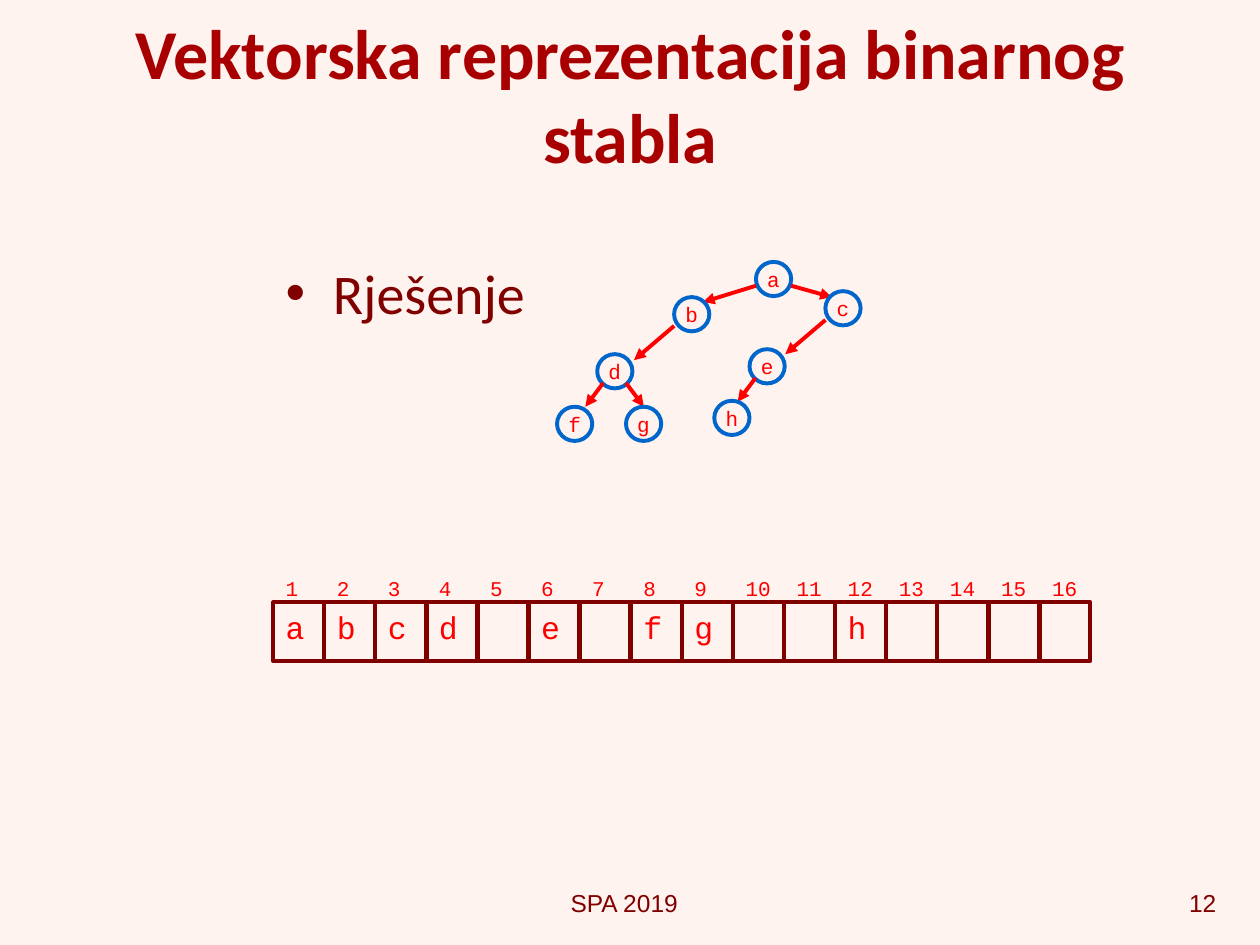
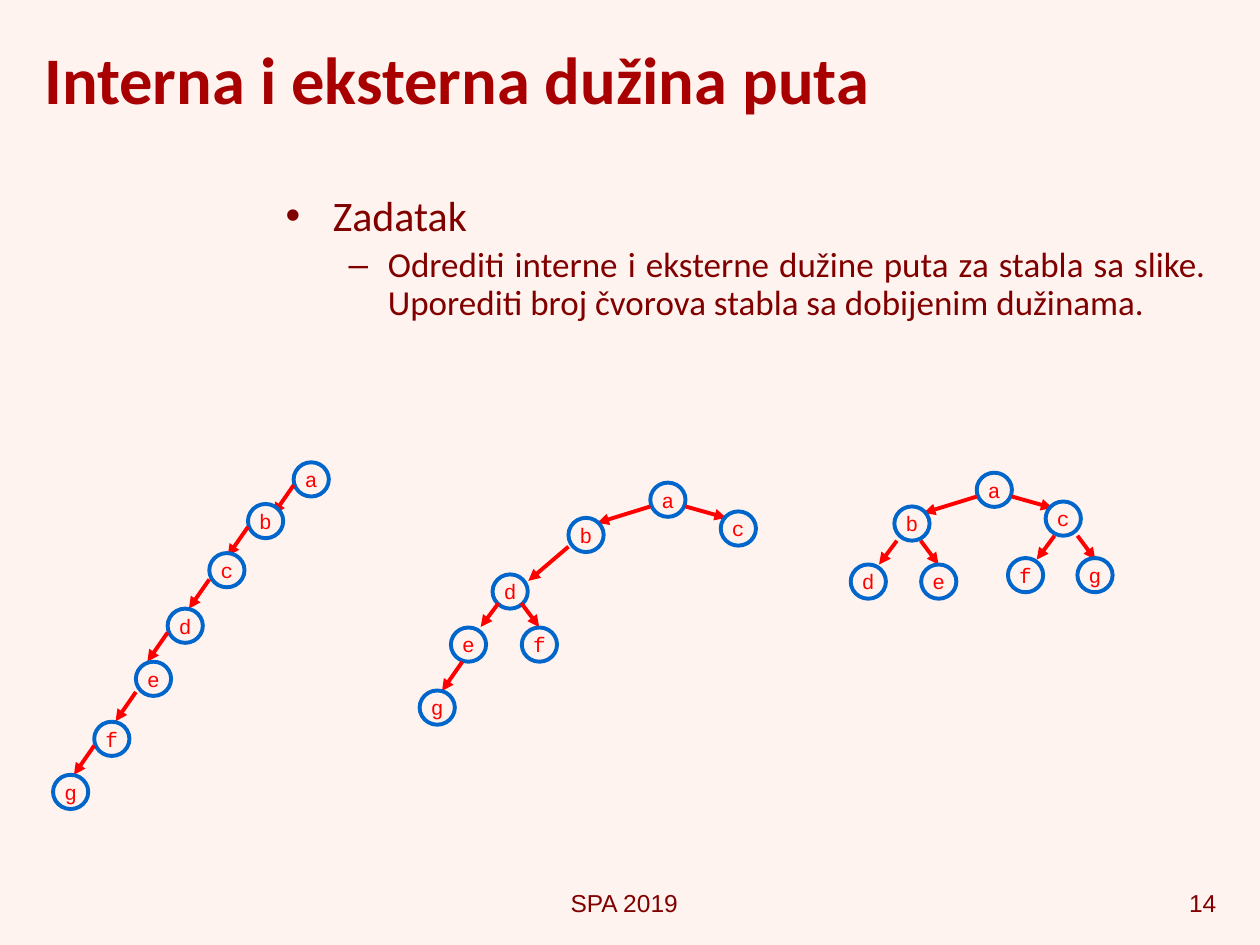
from dataclasses import dataclass
from lxml.etree import SubElement
from pptx import Presentation
from pptx.dml.color import RGBColor
from pptx.enum.shapes import MSO_CONNECTOR, MSO_SHAPE
from pptx.enum.text import MSO_ANCHOR, MSO_AUTO_SIZE, PP_ALIGN
from pptx.oxml.ns import qn
from pptx.util import Cm, Pt


@dataclass(frozen=True)
class Theme:
    background: RGBColor = RGBColor(0xFF, 0xF3, 0xEF)
    title: RGBColor = RGBColor(0xA8, 0x00, 0x00)
    text: RGBColor = RGBColor(0x80, 0x00, 0x00)
    accent: RGBColor = RGBColor(0xFF, 0x00, 0x00)
    node_line: RGBColor = RGBColor(0x00, 0x66, 0xCC)
    text_font: str = "Calibri"
    code_font: str = "Courier New"
    footer_font: str = "Arial"
    footer_size: int = 14
    label_size: int = 12
    cell_size: int = 18
    line_width: float = 2.25


THEME = Theme()
LABEL_FORMAT = {"name": THEME.code_font, "size": Pt(THEME.label_size)}
CELL_FORMAT = {"name": THEME.code_font, "size": Pt(THEME.cell_size)}
FOOTER_FORMAT = {"name": THEME.footer_font, "size": Pt(THEME.footer_size)}

# Bullet levels: character, left margin and hanging indent in cm
BULLETS = (("•", 0.95, 0.95), ("–", 2.06, 0.79))

# Tree geometry in cm: node size and the arrows' run and drop
NODE_WIDTH, NODE_HEIGHT = 0.71, 0.69
WIDE_LEFT, WIDE_RIGHT = (-1.07, 0.33), (0.82, 0.23)
STEEP_LEFT, STEEP_RIGHT = (-0.36, 0.48), (0.36, 0.48)
LONG_LEFT, CHAIN = (-0.81, 0.69), (-0.41, 0.59)

# Arrows leaving a node: start offset from its corner, then the arrow
ROOT = [(0, 0.48, WIDE_LEFT), (NODE_WIDTH, 0.48, WIDE_RIGHT)]
LONG = [(0, 0.58, LONG_LEFT)]
FORK = [(0.12, 0.58, STEEP_LEFT), (0.58, 0.58, STEEP_RIGHT)]

# Each tree: label -> left, top, arrows
SOLUTION_TREE = {
    "a": (15.24, 5.28, ROOT),
    "b": (13.59, 5.99, LONG),
    "d": (12.04, 7.14, FORK),
    "f": (11.23, 8.2, []),
    "g": (12.62, 8.2, []),
    "c": (16.64, 5.87, LONG),
    "e": (15.11, 7.04, FORK[:1]),
    "h": (14.4, 8.08, []),
}
CHAIN_TREE = {
    "a": (5.92, 9.32, [(0, 0.46, CHAIN)]),
    "b": (5, 10.16, [(0, 0.46, CHAIN)]),
    "c": (4.22, 11.15, [(0, 0.53, CHAIN)]),
    "d": (3.38, 12.27, [(0, 0.48, CHAIN)]),
    "e": (2.74, 13.34, [(0, 0.61, CHAIN)]),
    "f": (1.9, 14.55, [(0, 0.48, CHAIN)]),
    "g": (1.07, 15.62, []),
}
UNEVEN_TREE = {
    "a": (13.11, 9.73, ROOT),
    "b": (11.46, 10.44, LONG),
    "d": (9.93, 11.58, FORK),
    "e": (9.09, 12.65, [(0.23, 0.69, CHAIN)]),
    "f": (10.52, 12.65, []),
    "c": (14.53, 10.31, []),
    "g": (8.46, 13.92, []),
}
FULL_TREE = {
    "a": (19.69, 9.53, ROOT),
    "b": (18.03, 10.21, [(0.05, 0.69, STEEP_LEFT), (0.53, 0.69, STEEP_RIGHT)]),
    "d": (17.15, 11.38, []),
    "e": (18.57, 11.38, []),
    "c": (21.08, 10.11, [(0.18, 0.69, STEEP_LEFT), (0.64, 0.69, STEEP_RIGHT)]),
    "f": (20.32, 11.25, []),
    "g": (21.72, 11.25, []),
}

# Vector representation of the solution tree
VECTOR = ["a", "b", "c", "d", "", "e", "", "f", "g", "", "", "h", "", "", "", ""]
VECTOR_LEFT, CELL_PITCH = 5.51, 1.03
CELL_TOP, CELL_WIDTH, CELL_HEIGHT = 12.14, 1.02, 1.19
INDEX_TOP, INDEX_HEIGHT = 11.48, 0.76


def box(left, top, width, height):
    return Cm(left), Cm(top), Cm(width), Cm(height)


def write(paragraph, text, color, values, alignment=PP_ALIGN.LEFT):
    paragraph.alignment = alignment
    run = paragraph.add_run()
    run.text = text
    for name, value in values.items():
        setattr(run.font, name, value)
    run.font.color.rgb = color


def add_text(slide, area, text, color, values, alignment=PP_ALIGN.LEFT, wrap=True):
    frame = slide.shapes.add_textbox(*box(*area)).text_frame
    frame.word_wrap = wrap
    write(frame.paragraphs[0], text, color, values, alignment)


def add_outlined_shape(shapes, kind, area, line_color, fill_color=None):
    shape = shapes.add_shape(kind, *box(*area))
    shape.shadow.inherit = False
    if fill_color is None:
        shape.fill.background()
    else:
        shape.fill.solid()
        shape.fill.fore_color.rgb = fill_color
    shape.line.color.rgb = line_color
    shape.line.width = Pt(THEME.line_width)
    shape.text_frame.word_wrap = False
    return shape


def add_node(shapes, label, left, top):
    area = (left, top, NODE_WIDTH, NODE_HEIGHT)
    shape = add_outlined_shape(shapes, MSO_SHAPE.OVAL, area, THEME.node_line, THEME.background)
    frame = shape.text_frame
    frame.vertical_anchor = MSO_ANCHOR.MIDDLE
    write(frame.paragraphs[0], label, THEME.accent, LABEL_FORMAT, PP_ALIGN.CENTER)


def add_arrow(shapes, left, top, run, drop):
    arrow = shapes.add_connector(
        MSO_CONNECTOR.STRAIGHT, Cm(left), Cm(top), Cm(left + run), Cm(top + drop))
    arrow.line.color.rgb = THEME.accent
    arrow.line.width = Pt(THEME.line_width)
    SubElement(arrow.line._get_or_add_ln(), qn("a:tailEnd"), type="triangle")
    SubElement(arrow._element.spPr, qn("a:effectLst"))


def add_tree(slide, tree):
    shapes = slide.shapes.add_group_shape().shapes
    for label, (left, top, arrows) in tree.items():
        add_node(shapes, label, left, top)
        for across, down, stroke in arrows:
            add_arrow(shapes, left + across, top + down, *stroke)


def add_vector(slide):
    for index, value in enumerate(VECTOR):
        left = VECTOR_LEFT + index * CELL_PITCH
        area = (left, CELL_TOP, CELL_WIDTH, CELL_HEIGHT)
        cell = add_outlined_shape(slide.shapes, MSO_SHAPE.RECTANGLE, area, THEME.text)
        cell.text_frame.vertical_anchor = MSO_ANCHOR.TOP
        if value:
            write(cell.text_frame.paragraphs[0], value, THEME.accent, CELL_FORMAT)
    for index in range(len(VECTOR)):
        number = str(index + 1)
        area = (VECTOR_LEFT + index * CELL_PITCH, INDEX_TOP,
                0.5 + 0.26 * len(number), INDEX_HEIGHT)
        add_text(slide, area, number, THEME.accent, LABEL_FORMAT, wrap=False)


def add_bullets(slide, area, items, alignment=PP_ALIGN.LEFT, line_spacing=1.0):
    """Each item is (level, size, text)."""
    frame = slide.shapes.add_textbox(*box(*area)).text_frame
    frame.word_wrap = True
    for position, (level, size, text) in enumerate(items):
        paragraph = frame.add_paragraph() if position else frame.paragraphs[0]
        character, margin, hanging = BULLETS[level]
        properties = paragraph._p.get_or_add_pPr()
        properties.set("marL", str(Cm(margin)))
        properties.set("indent", str(-Cm(hanging)))
        SubElement(properties, qn("a:buFont"), typeface="Arial")
        SubElement(properties, qn("a:buChar"), char=character)
        paragraph.level = level
        paragraph.line_spacing = line_spacing
        if position:
            paragraph.space_before = Pt(size * 0.2)
        values = {"name": THEME.text_font, "size": Pt(size)}
        write(paragraph, text, THEME.text, values, alignment)


def add_slide(presentation, title, number, size, height, alignment):
    slide = presentation.slides.add_slide(presentation.slide_layouts[5])
    # Title
    shape = slide.shapes.title
    shape.left, shape.top, shape.width, shape.height = box(0.64, 0.2, 24.13, height)
    frame = shape.text_frame
    frame.word_wrap = True
    frame.auto_size = MSO_AUTO_SIZE.NONE
    frame.vertical_anchor = MSO_ANCHOR.MIDDLE
    values = {"name": THEME.text_font, "size": Pt(size), "bold": True}
    write(frame.paragraphs[0], title, THEME.title, values, alignment)
    # Footer and slide number
    add_text(slide, (9.5, 17.78, 6.17, 0.84), "SPA 2019", THEME.text, FOOTER_FORMAT,
             PP_ALIGN.CENTER)
    add_text(slide, (19.69, 17.78, 5.08, 0.84), str(number), THEME.text, FOOTER_FORMAT,
             PP_ALIGN.RIGHT)
    return slide


def main():
    presentation = Presentation()
    presentation.slide_width, presentation.slide_height = Cm(25.4), Cm(19.05)
    fill = presentation.slide_master.background.fill
    fill.solid()
    fill.fore_color.rgb = THEME.background

    # Vector representation
    slide = add_slide(presentation, "Vektorska reprezentacija binarnog stabla", 12,
                      size=40, height=3.38, alignment=PP_ALIGN.CENTER)
    add_bullets(slide, (5.51, 5.08, 19.05, 2.74), [(0, 32, "Rješenje")])
    add_tree(slide, SOLUTION_TREE)
    add_vector(slide)

    # Path lengths
    slide = add_slide(presentation, "Interna i eksterna dužina puta", 14,
                      size=38, height=2.74, alignment=PP_ALIGN.LEFT)
    task = ("Odrediti interne i eksterne dužine puta za stabla sa slike. "
            "Uporediti broj čvorova stabla sa dobijenim dužinama.")
    add_bullets(slide, (5.51, 3.81, 19.05, 4.45), [(0, 24, "Zadatak"), (1, 20, task)],
                PP_ALIGN.JUSTIFY, line_spacing=0.9)
    for tree in (CHAIN_TREE, UNEVEN_TREE, FULL_TREE):
        add_tree(slide, tree)

    presentation.save("out.pptx")


if __name__ == "__main__":
    main()
